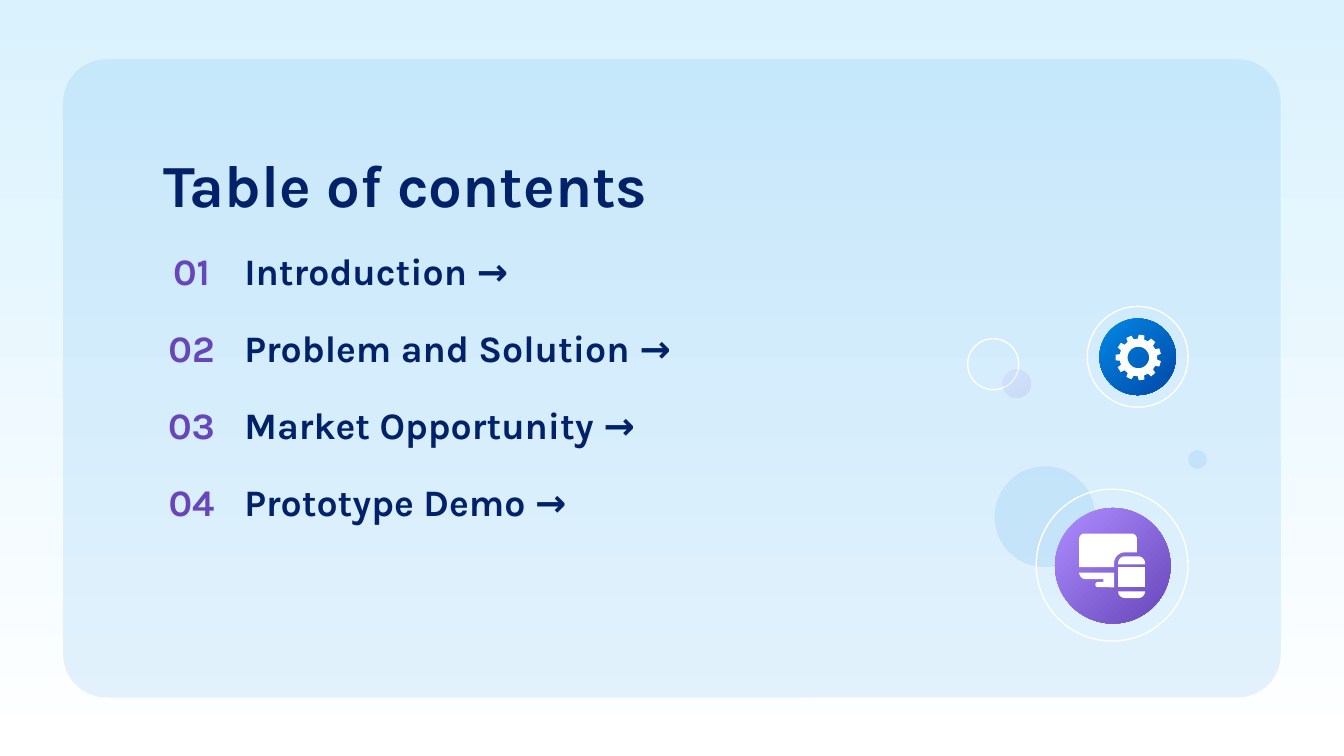
from math import cos, radians, sin

from lxml import etree
from pptx import Presentation
from pptx.dml.color import RGBColor
from pptx.enum.shapes import MSO_SHAPE
from pptx.enum.text import MSO_ANCHOR, PP_ALIGN
from pptx.oxml.ns import qn
from pptx.util import Inches, Pt

ELLIPSE = MSO_SHAPE.OVAL
ROUNDED = MSO_SHAPE.ROUNDED_RECTANGLE
TOP, MIDDLE = MSO_ANCHOR.TOP, MSO_ANCHOR.MIDDLE
LEFT, CENTER = PP_ALIGN.LEFT, PP_ALIGN.CENTER

NAVY, PURPLE, LILAC = "012169", "6746B9", "AD8DFF"
BLUE, DEEP_BLUE, WHITE = "0388E5", "0048A7", "FFFFFF"
TOPICS = ["Introduction", "Problem and Solution", "Market Opportunity", "Prototype Demo"]


def rgb(value):
    return RGBColor.from_string(value)


def arc(x, y, radius, start, end, steps=10):
    """Points on a circle from one angle to another, clockwise when rising."""
    angles = [radians(start + (end - start) * i / steps) for i in range(steps + 1)]
    return [(x + radius * cos(a), y + radius * sin(a)) for a in angles]


def gear(x, y, teeth=11):
    """Outline of a cog wheel with its first tooth pointing left."""
    profile = [(-10, 0.14), (-7, 0.17), (7, 0.17), (10, 0.14)]
    points = []
    for tooth in range(teeth):
        for offset, radius in profile:
            angle = radians(180 + tooth * 360 / teeth + offset)
            points.append((x + radius * cos(angle), y + radius * sin(angle)))
    return points


class SlideBuilder:
    font = "Karla"

    def __init__(self, slide):
        self.slide = slide
        self.shapes = slide.shapes

    def paint(self, fill, colours, angle):
        """Fill with one colour, two gradient colours, or nothing."""
        if not colours:
            fill.background()
        elif len(colours) == 1:
            fill.solid()
            fill.fore_color.rgb = rgb(colours[0])
        else:
            fill.gradient()
            fill.gradient_angle = angle
            for position, (stop, colour) in enumerate(zip(fill.gradient_stops, colours)):
                stop.position = position
                stop.color.rgb = rgb(colour)

    def finish(self, shape, colours, opacity=100, outline=None):
        shape.shadow.inherit = False
        self.paint(shape.fill, colours, 315)
        if opacity < 100:
            for colour in shape._element.spPr.iter(qn("a:srgbClr")):
                etree.SubElement(colour, qn("a:alpha"), val=str(opacity * 1000))
        if outline:
            shape.line.color.rgb = rgb(outline)
            shape.line.width = Pt(0.75)
        else:
            shape.line.fill.background()
        return shape

    def panel(self, left, top, width, height, colour, opacity):
        shape = self.shapes.add_shape(ROUNDED, Inches(left), Inches(top), Inches(width), Inches(height))
        shape.adjustments[0] = 0.068
        return self.finish(shape, [colour], opacity)

    def circle(self, left, top, size, *colours, **style):
        shape = self.shapes.add_shape(ELLIPSE, Inches(left), Inches(top), Inches(size), Inches(size))
        return self.finish(shape, colours, **style)

    def outline(self, *contours):
        """White freeform made of closed contours."""
        contours = [[(Inches(x), Inches(y)) for x, y in contour] for contour in contours]
        builder = self.shapes.build_freeform(*contours[0][0])
        for number, contour in enumerate(contours):
            if number:
                builder.move_to(*contour[0])
            builder.add_line_segments(contour[1:], close=True)
        return self.finish(builder.convert_to_shape(), [WHITE])

    def group(self, *members):
        self.shapes.add_group_shape(shapes=members)

    def text(self, content, left, top, width, height, size=20, colour=NAVY, align=LEFT, anchor=MIDDLE):
        box = self.shapes.add_textbox(Inches(left), Inches(top), Inches(width), Inches(height))
        frame = box.text_frame
        inset = Inches(0.1)
        frame_style = {
            "word_wrap": True, "vertical_anchor": anchor, "margin_left": inset,
            "margin_right": inset, "margin_top": inset, "margin_bottom": inset,
        }
        for name, value in frame_style.items():
            setattr(frame, name, value)
        paragraph = frame.paragraphs[0]
        paragraph.alignment = align
        run = paragraph.add_run()
        run.text = content
        for name, value in {"name": self.font, "size": Pt(size), "bold": True}.items():
            setattr(run.font, name, value)
        run.font.color.rgb = rgb(colour)


def add_contents(builder):
    builder.text("Table of contents", 1.12, 1, 7.24, 0.73, size=32, anchor=TOP)
    for index, topic in enumerate(TOPICS):
        top = 1.73 + index * 1.72 / 3
        builder.text(f"{index + 1:02}", 1.12, top, 0.61, 0.57, colour=PURPLE, align=CENTER)
        builder.text(f"{topic} →", 1.72, top, 6.63, 0.57)


def add_devices_badge(builder):
    screen = (arc(8.07, 4.01, 0.04, 180, 270) + arc(8.42, 4.01, 0.04, 270, 360)
              + [(8.46, 4.11)] + arc(8.37, 4.19, 0.08, 270, 180)
              + [(8.29, 4.22), (8.03, 4.22)])
    stand = ([(8.03, 4.26), (8.29, 4.26), (8.29, 4.37)] + arc(8.17, 4.35, 0.02, 90, 270)
             + [(8.21, 4.33), (8.21, 4.31)] + arc(8.08, 4.26, 0.05, 90, 180))
    phone_top = (arc(8.37, 4.19, 0.05, 180, 270) + arc(8.47, 4.19, 0.05, 270, 360)
                 + [(8.52, 4.2), (8.32, 4.2)])
    phone_screen = [(8.32, 4.22), (8.52, 4.22), (8.52, 4.37), (8.32, 4.37)]
    phone_bottom = arc(8.47, 4.4, 0.05, 0, 90) + arc(8.37, 4.4, 0.05, 90, 180)
    builder.group(
        builder.circle(7.71, 3.64, 1.13, outline=WHITE),
        builder.circle(7.85, 3.78, 0.86, LILAC, PURPLE),
        *[builder.outline(part) for part in (phone_screen, phone_bottom, phone_top, stand, screen)],
    )


def add_gear_badge(builder):
    builder.group(
        builder.circle(8.09, 2.28, 0.75, outline=WHITE),
        builder.circle(8.18, 2.37, 0.57, BLUE, DEEP_BLUE),
        builder.outline(gear(8.47, 2.66), arc(8.47, 2.66, 0.08, 360, 0, steps=40)),
    )


def main():
    presentation = Presentation()
    presentation.slide_width = Inches(10)
    presentation.slide_height = Inches(10 * 9 / 16)
    slide = presentation.slides.add_slide(presentation.slide_layouts[6])
    builder = SlideBuilder(slide)
    builder.paint(slide.background.fill, [WHITE, "DAF2FE"], 90)
    builder.panel(0.47, 0.44, 9.06, 4.75, BLUE, 10)
    add_contents(builder)
    builder.circle(7.4, 3.47, 0.75, BLUE, opacity=10)
    add_devices_badge(builder)
    builder.circle(7.2, 2.52, 0.38, outline=WHITE)
    builder.circle(7.46, 2.75, 0.21, LILAC, PURPLE, opacity=10)
    add_gear_badge(builder)
    builder.circle(8.84, 3.35, 0.14, BLUE, opacity=10)
    presentation.save("out.pptx")


if __name__ == "__main__":
    main()
